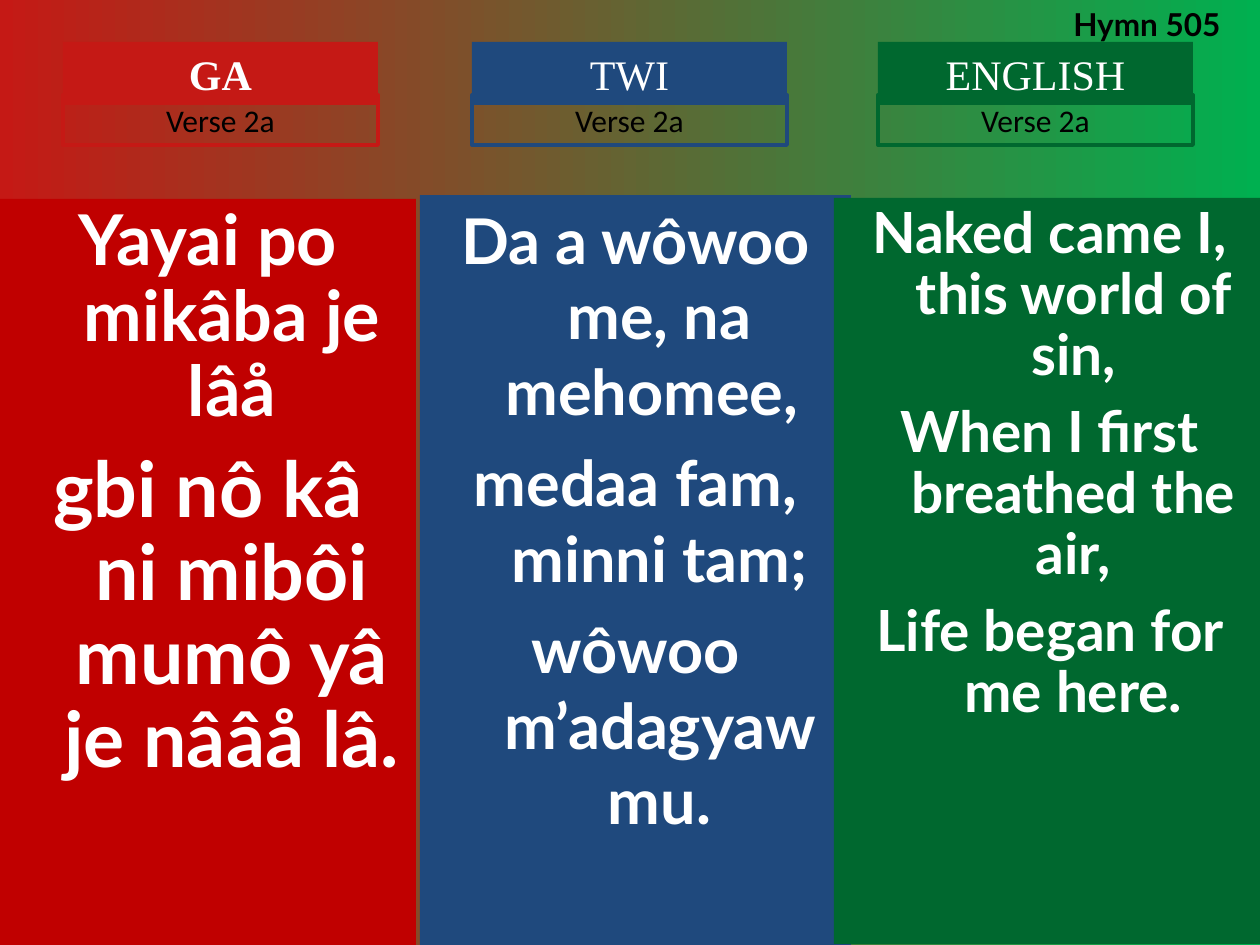
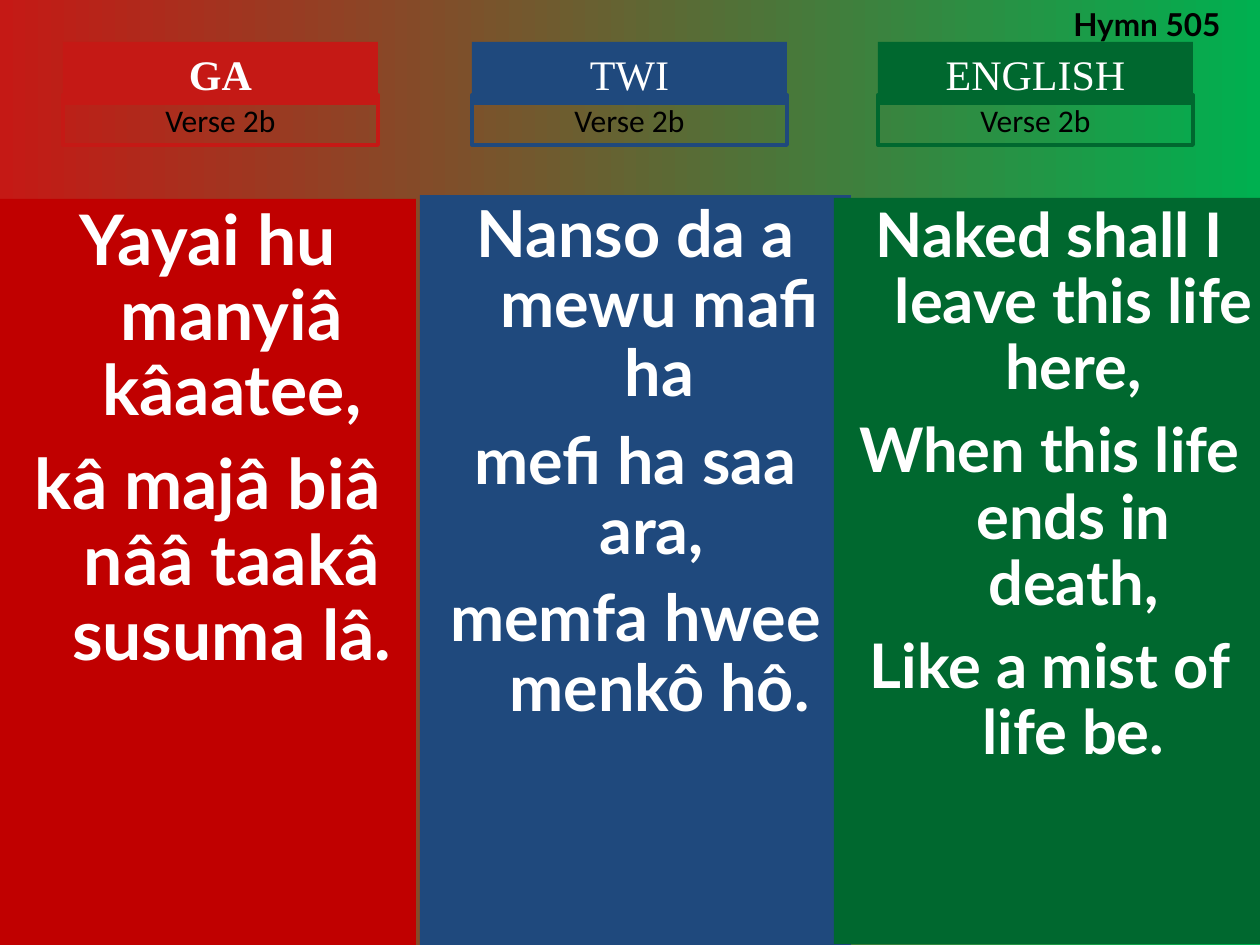
from dataclasses import dataclass

import pptx
import pptx.util
import pptx.dml.color
import pptx.enum.shapes
import pptx.enum.text

Pt = pptx.util.Pt
RGB = pptx.dml.color.RGBColor.from_string
ALIGN = pptx.enum.text.PP_ALIGN
ANCHOR = pptx.enum.text.MSO_ANCHOR
PX_PER_INCH = 126


@dataclass(frozen=True)
class Theme:
    red: str = "C51915"
    deep_red: str = "C00000"
    blue: str = "1F497D"
    green: str = "00682F"
    bright_green: str = "00B050"
    white: str = "FFFFFF"
    black: str = "000000"
    heading_font: str = "Times New Roman"
    verse_font: str = "Calibri"
    lyric_font: str = "Lato"
    heading_size: float = 24
    label_size: float = 18
    border: float = 2.25


@dataclass(frozen=True)
class Language:
    name: str
    bold: bool
    accent: str
    panel_fill: str
    heading_left: int
    panel: tuple


@dataclass(frozen=True)
class Lyric:
    lines: tuple
    sizes: tuple
    space: float
    leading: float = 0.9


THEME = Theme()
SLIDE_W, SLIDE_H = 1260, 945
HEADING_TOP, HEADING_W, HEADING_H = 42, 315, 63
VERSE_OFFSET, VERSE_H = 53, 50
HANGING = 48

LANGUAGES = (
    Language("GA", True, THEME.red, THEME.deep_red, 63, (0, 199, 416, 746)),
    Language("TWI", False, THEME.blue, THEME.blue, 472, (420, 195, 431, 750)),
    Language("ENGLISH", False, THEME.green, THEME.green, 878, (834, 198, 431, 746)),
)

VERSES = (
    ("Verse 2a", (
        Lyric(("Yayai po mikâba je lâå",
               "gbi nô kâ ni mibôi mumô yâ je nââå lâ."), (40, 44), 11),
        Lyric(("Da a wôwoo me, na mehomee, ",
               "medaa fam, minni tam;",
               "wôwoo m’adagyaw mu."), (36,) * 3, 9, 1.0),
        Lyric(("Naked came I, this world of sin,",
               "When I first breathed the air,",
               "Life began for me here."), (32.4,) * 3, 8.8),
    )),
    ("Verse 2b", (
        Lyric(("Yayai hu manyiâ kâaatee,",
               "kâ majâ biâ nââ taakâ susuma lâ."), (39.8,) * 2, 10.7),
        Lyric(("Nanso da a mewu mafi ha",
               "mefi ha saa ara, ",
               "memfa hwee menkô hô."), (37,) * 3, 10),
        Lyric(("Naked shall I leave this life here,",
               "When this life ends in death,",
               "Like a mist of life be."), (35.1,) * 3, 9.5),
    )),
)


def px(n):
    return pptx.util.Emu(round(n * 914400 / PX_PER_INCH))


def add_box(s, box, fill=None, line=None, anchor=ANCHOR.TOP):
    sp = s.shapes.add_shape(pptx.enum.shapes.MSO_SHAPE.RECTANGLE, *map(px, box))
    sp.shadow.inherit = False
    if fill:
        sp.fill.solid()
        sp.fill.fore_color.rgb = RGB(fill)
    else:
        sp.fill.background()
    if line:
        sp.line.color.rgb = RGB(line)
        sp.line.width = Pt(THEME.border)
    else:
        sp.line.fill.background()
    tf = sp.text_frame
    tf.word_wrap = True
    tf.vertical_anchor = anchor
    return tf


def add_run(p, text, font, size, color, bold=False, align=ALIGN.CENTER):
    p.alignment = align
    r = p.add_run()
    r.text = text
    r.font.name = font
    r.font.size = Pt(size)
    r.font.bold = bold
    r.font.color.rgb = RGB(color)


def add_lyric(s, language, lyric):
    tf = add_box(s, language.panel, fill=language.panel_fill)
    for i, (text, size) in enumerate(zip(lyric.lines, lyric.sizes)):
        p = tf.add_paragraph() if i else tf.paragraphs[0]
        pPr = p._p.get_or_add_pPr()
        pPr.set("marL", str(px(HANGING)))
        pPr.set("indent", str(-px(HANGING)))
        p.line_spacing = lyric.leading
        if i:
            p.space_before = Pt(lyric.space)
        add_run(p, text, THEME.lyric_font, size, THEME.white, True)


def add_heading(s, language, verse):
    x, y = language.heading_left, HEADING_TOP
    tf = add_box(s, (x, y, HEADING_W, HEADING_H), fill=language.accent,
                 anchor=ANCHOR.MIDDLE)
    add_run(tf.paragraphs[0], language.name, THEME.heading_font,
            THEME.heading_size, THEME.white, language.bold)
    tf = add_box(s, (x, y + VERSE_OFFSET, HEADING_W, VERSE_H), line=language.accent)
    add_run(tf.paragraphs[0], verse, THEME.verse_font, THEME.label_size, THEME.black)


def add_hymn_number(s, text, box):
    tf = s.shapes.add_textbox(*map(px, box)).text_frame
    tf.word_wrap = True
    add_run(tf.paragraphs[0], text, THEME.lyric_font, THEME.label_size,
            THEME.black, True, ALIGN.LEFT)


def set_background(s):
    fill = s.background.fill
    fill.gradient()
    fill.gradient_angle = 0
    for stop, color in zip(fill.gradient_stops, (THEME.red, THEME.bright_green)):
        stop.color.rgb = RGB(color)


def add_verse_slide(prs, verse, lyrics):
    s = prs.slides.add_slide(prs.slide_layouts[6])
    set_background(s)
    for language, lyric in zip(LANGUAGES, lyrics):
        add_lyric(s, language, lyric)
        add_heading(s, language, verse)
    add_hymn_number(s, "Hymn 505", (1061, -1, 189, 50))


def main():
    prs = pptx.Presentation()
    prs.slide_width, prs.slide_height = px(SLIDE_W), px(SLIDE_H)
    for verse, lyrics in VERSES:
        add_verse_slide(prs, verse, lyrics)
    prs.save("out.pptx")


if __name__ == "__main__":
    main()
